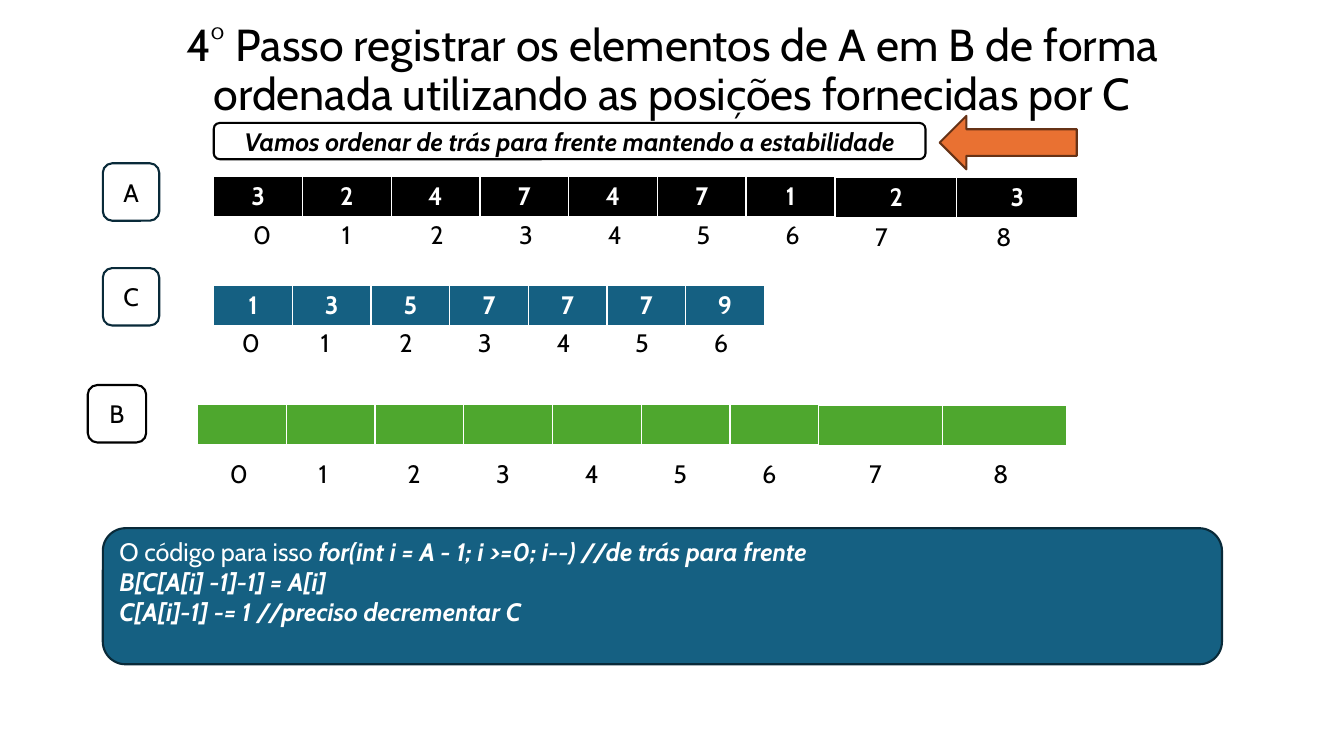
from pptx import Presentation
from pptx.dml.color import RGBColor
from pptx.enum.shapes import MSO_SHAPE
from pptx.enum.text import MSO_ANCHOR, PP_ALIGN
from pptx.oxml import parse_xml
from pptx.oxml.ns import nsdecls
from pptx.util import Inches, Pt

TITLE = "4° Passo registrar os elementos de A em B de forma ordenada utilizando as posições fornecidas por C"
HINT = "Vamos ordenar de trás para frente mantendo a estabilidade"
CODE = [
    [("O código para isso ", "body"), ("for(int i = A - 1; i >=0; i--) //de trás para frente", "code")],
    [("B[C[A[i] -1]-1] = A[i]", "code")],
    [("C[A[i]-1] -= 1 //preciso decrementar C", "code")],
]
ARRAYS = [
    {"letter": "A", "badge": (1.02, 1.62, 0.56, 0.57), "fill": "black", "edge": "navy",
     "values": "324747123",
     "parts": [{"count": 7, "cell": 0.88, "values_at": (2.12, 1.75), "indexes_at": (2.41, 2.13)},
               {"count": 2, "cell": 1.2, "values_at": (8.29, 1.76), "indexes_at": (8.58, 2.15)}]},
    {"letter": "C", "badge": (1.02, 2.66, 0.56, 0.57), "fill": "blue", "edge": "navy",
     "values": "1357779",
     "parts": [{"count": 7, "cell": 0.78, "values_at": (2.12, 2.83), "indexes_at": (2.3, 3.21)}]},
    {"letter": "B", "badge": (0.87, 3.82, 0.58, 0.57), "fill": "green", "edge": "black",
     "values": [""] * 9,
     "parts": [{"count": 7, "cell": 0.88, "values_at": (1.96, 4.01), "indexes_at": (2.18, 4.5)},
               {"count": 2, "cell": 1.23, "values_at": (8.12, 4.02), "indexes_at": (8.52, 4.5)}]},
]
TITLE_AREA = (1.67, 0.09, 10, 1.15)
HINT_AREA = (2.12, 1.22, 7.06, 0.36)
ARROW_AREA = (9.32, 1.15, 1.36, 0.53)
CODE_AREA = (1.02, 5.24, 11.1, 1.35)
ROW_HEIGHT = 0.41

THEME = {
    "font": "Cabin",
    "black": "000000", "white": "FFFFFF", "blue": "156082", "navy": "092A39",
    "green": "4EA72E", "orange": "E97132", "brown": "663216",
    "outline": 1.5,
    "borders": {"lnL": 1, "lnR": 1, "lnT": 1, "lnB": 3},
    "plain_table": "{2D5ABB26-0587-4C30-8999-92F81FD0307C}",
    "text": {
        "title": {"size": 32, "color": "black"},
        "label": {"size": 18, "color": "black"},
        "hint": {"size": 18, "color": "black", "bold": True, "italic": True},
        "value": {"size": 18, "color": "white", "bold": True},
        "body": {"size": 18, "color": "white"},
        "code": {"size": 18, "color": "white", "bold": True, "italic": True},
    },
}


def color(name):
    return RGBColor.from_string(THEME[name])


def apply(target, formats):
    for attribute, value in formats.items():
        setattr(target, attribute, value)


def write(frame, lines, align=PP_ALIGN.CENTER, **formats):
    apply(frame, {"word_wrap": True, "vertical_anchor": MSO_ANCHOR.MIDDLE, **formats})
    for number, line in enumerate(lines):
        paragraph = frame.add_paragraph() if number else frame.paragraphs[0]
        paragraph.alignment = align
        for words, style in line:
            run = paragraph.add_run()
            run.text = words
            look = THEME["text"][style]
            apply(run.font, {"name": THEME["font"], "size": Pt(look["size"]),
                             "bold": look.get("bold", False), "italic": look.get("italic", False)})
            run.font.color.rgb = color(look["color"])


def add_panel(slide, kind, area, edge, fill=None):
    panel = slide.shapes.add_shape(kind, *map(Inches, area))
    panel.shadow.inherit = False
    if fill:
        panel.fill.solid()
        panel.fill.fore_color.rgb = color(fill)
    else:
        panel.fill.background()
    panel.line.color.rgb = color(edge)
    panel.line.width = Pt(THEME["outline"])
    return panel


def add_borders(cell):
    properties = cell._tc.get_or_add_tcPr()
    for side, width in THEME["borders"].items():
        properties.append(parse_xml(
            f'<a:{side} {nsdecls("a")} w="{Pt(width)}"><a:solidFill>'
            f'<a:srgbClr val="{THEME["white"]}"/></a:solidFill></a:{side}>'))


def add_strip(slide, position, cell_width, entries, style, align, fill=None):
    count = len(entries)
    area = (*position, cell_width * count, ROW_HEIGHT)
    strip = slide.shapes.add_table(1, count, *map(Inches, area)).table
    apply(strip, {"first_row": False, "horz_banding": False})
    strip._tbl.tblPr.find("{*}tableStyleId").text = THEME["plain_table"]
    for column, entry in enumerate(entries):
        strip.columns[column].width = Inches(cell_width)
        cell = strip.cell(0, column)
        if fill:
            add_borders(cell)
            cell.fill.solid()
            cell.fill.fore_color.rgb = color(fill)
        else:
            cell.fill.background()
        if entry:
            write(cell.text_frame, [[(entry, style)]], align, vertical_anchor=MSO_ANCHOR.TOP)


def add_array(slide, array):
    start = 0
    for part in array["parts"]:
        positions = range(start, start + part["count"])
        add_strip(slide, part["values_at"], part["cell"], [array["values"][i] for i in positions],
                  "value", PP_ALIGN.CENTER, array["fill"])
        add_strip(slide, part["indexes_at"], part["cell"], [str(i) for i in positions],
                  "label", PP_ALIGN.LEFT)
        start += part["count"]
    badge = add_panel(slide, MSO_SHAPE.ROUNDED_RECTANGLE, array["badge"], array["edge"])
    write(badge.text_frame, [[(array["letter"], "label")]])


def main():
    deck = Presentation()
    apply(deck, {"slide_width": Inches(13.33), "slide_height": Inches(7.5)})
    slide = deck.slides.add_slide(deck.slide_layouts[6])

    heading = slide.shapes.add_textbox(*map(Inches, TITLE_AREA)).text_frame
    write(heading, [[(TITLE, "title")]], vertical_anchor=MSO_ANCHOR.BOTTOM)
    heading.paragraphs[0].line_spacing = 0.9

    for array in ARRAYS:
        add_array(slide, array)

    hint = add_panel(slide, MSO_SHAPE.ROUNDED_RECTANGLE, HINT_AREA, "black", "white")
    write(hint.text_frame, [[(HINT, "hint")]])
    add_panel(slide, MSO_SHAPE.LEFT_ARROW, ARROW_AREA, "brown", "orange")
    code = add_panel(slide, MSO_SHAPE.ROUNDED_RECTANGLE, CODE_AREA, "navy", "blue")
    write(code.text_frame, CODE, PP_ALIGN.LEFT, vertical_anchor=MSO_ANCHOR.TOP, margin_top=Inches(0.01))

    deck.save("out.pptx")


if __name__ == "__main__":
    main()
